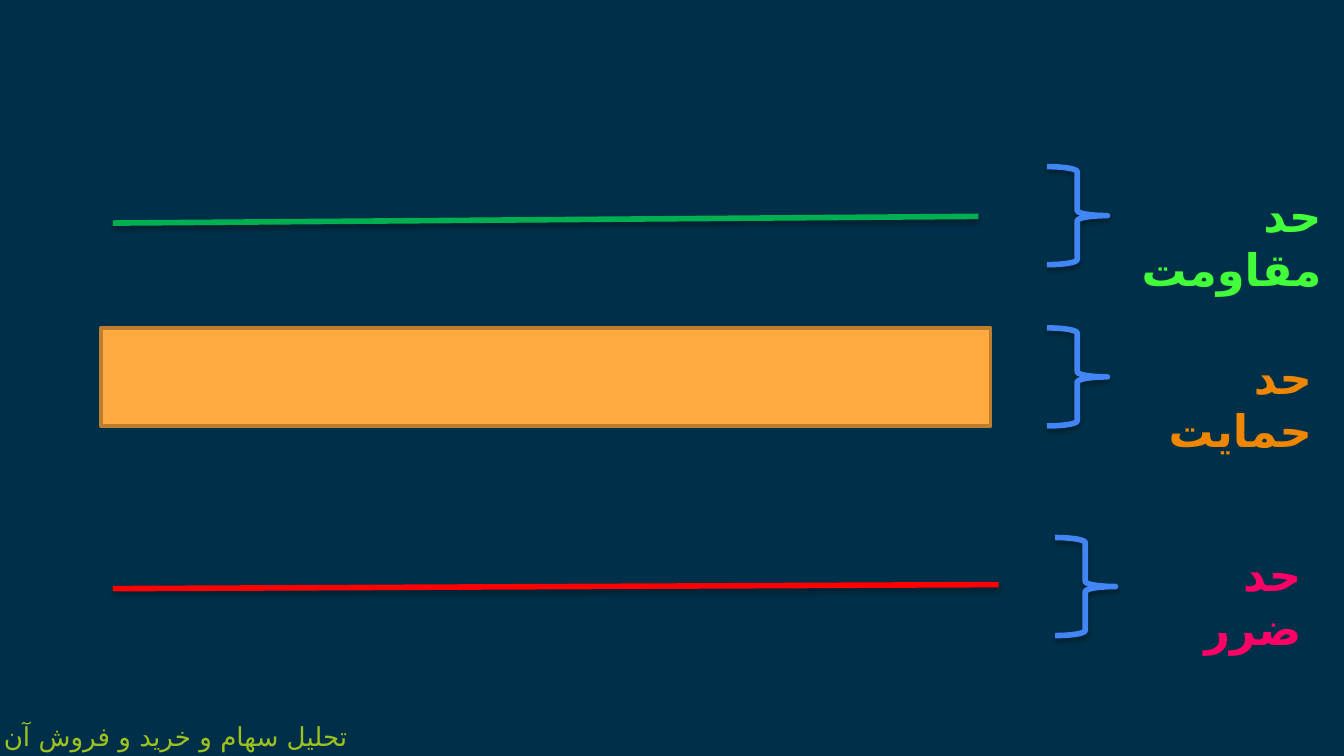
from lxml.etree import SubElement
from pptx import Presentation
from pptx.dml.color import RGBColor
from pptx.enum.shapes import MSO_CONNECTOR, MSO_SHAPE
from pptx.enum.text import MSO_AUTO_SIZE, PP_ALIGN
from pptx.oxml.ns import qn
from pptx.util import Inches, Pt

FONT = "Lato"
ARABIC_FONT = "DejaVu Sans"
COLORS = {
    "background": "003049",
    "footer": "9EC11F",
    "resistance": "42FD39",
    "support": "EF8600",
    "stop_loss": "FF0066",
    "resistance_line": "00B050",
    "stop_loss_line": "FF0000",
    "zone": "FFAB40",
    "zone_border": "BD7F2F",
    "brace": "4285F4",
    "shadow": "000000",
}


def color(name):
    """Return the named palette colour."""
    return RGBColor.from_string(COLORS[name])


def set_line(sp, name, width):
    """Set the colour and width of an outline."""
    sp.line.color.rgb = color(name)
    sp.line.width = Pt(width)


def add_shadow(sp):
    """Give a shape or connector a soft shadow straight below it."""
    effects = SubElement(sp._element.spPr, qn("a:effectLst"))
    shadow = SubElement(effects, qn("a:outerShdw"), blurRad=str(Pt(3.1)),
                        dist=str(Pt(1.8)), dir="5400000", algn="bl", rotWithShape="0")
    rgb = SubElement(shadow, qn("a:srgbClr"), val=COLORS["shadow"])
    SubElement(rgb, qn("a:alpha"), val="35000")


def add_text(s, box, text, name, size, align, bold=False):
    """Add a right-to-left text box."""
    sp = s.shapes.add_textbox(*map(Inches, box))
    tf = sp.text_frame
    tf.word_wrap = True
    tf.auto_size = MSO_AUTO_SIZE.SHAPE_TO_FIT_TEXT
    p = tf.paragraphs[0]
    p.text = text
    p.alignment = align
    p._p.get_or_add_pPr().set("rtl", "1")
    p.font.size = Pt(size)
    p.font.bold = bold
    p.font.color.rgb = color(name)
    p.font.name = FONT
    SubElement(p.font._element, qn("a:cs"), typeface=ARABIC_FONT)


def add_level_line(s, box, name):
    """Draw a price level rising from the box's lower left to its upper right."""
    x, y, w, h = box
    sp = s.shapes.add_connector(MSO_CONNECTOR.STRAIGHT, Inches(x), Inches(y + h),
                                Inches(x + w), Inches(y))
    set_line(sp, name, 3)
    add_shadow(sp)


def add_zone(s, box):
    """Draw the support zone as a bordered band."""
    sp = s.shapes.add_shape(MSO_SHAPE.RECTANGLE, *map(Inches, box))
    sp.shadow.inherit = False
    sp.fill.solid()
    sp.fill.fore_color.rgb = color("zone")
    set_line(sp, "zone_border", 2)


def add_marker(s, box, text, name, label_w, label_dy):
    """Place a brace at the left of the box and its label at the right."""
    x, y, w, h = box
    sp = s.shapes.add_shape(MSO_SHAPE.RIGHT_BRACE, Inches(x), Inches(y),
                            Inches(0.45), Inches(h))
    sp.fill.background()
    set_line(sp, "brace", 3)
    add_shadow(sp)
    add_text(s, (x + w - label_w, y + label_dy, label_w, 0.5), text, name, 24,
             PP_ALIGN.RIGHT, bold=True)


def main():
    """Build the slide of resistance, support and stop-loss levels."""
    prs = Presentation()
    prs.slide_width = Inches(10)
    prs.slide_height = prs.slide_width * 9 // 16
    s = prs.slides.add_slide(prs.slide_layouts[6])
    s.background.fill.solid()
    s.background.fill.fore_color.rgb = color("background")

    add_text(s, (-0.07, 5.31, 5, 0.34), "تحلیل سهام و خرید و فروش آن", "footer", 14,
             PP_ALIGN.LEFT)
    add_level_line(s, (0.84, 4.35, 6.59, 0.03), "stop_loss_line")
    add_level_line(s, (0.84, 1.61, 6.44, 0.05), "resistance_line")
    add_marker(s, (7.79, 1.24, 2.14, 0.73), "حد مقاومت", "resistance", 1.69, 0.11)
    add_marker(s, (7.79, 2.44, 2.07, 0.73), "حد حمایت", "support", 1.51, 0.11)
    add_marker(s, (7.85, 4, 1.93, 0.73), "حد ضرر", "stop_loss", 1.14, 0.02)
    add_zone(s, (0.75, 2.44, 6.62, 0.73))

    prs.save("out.pptx")


if __name__ == "__main__":
    main()
